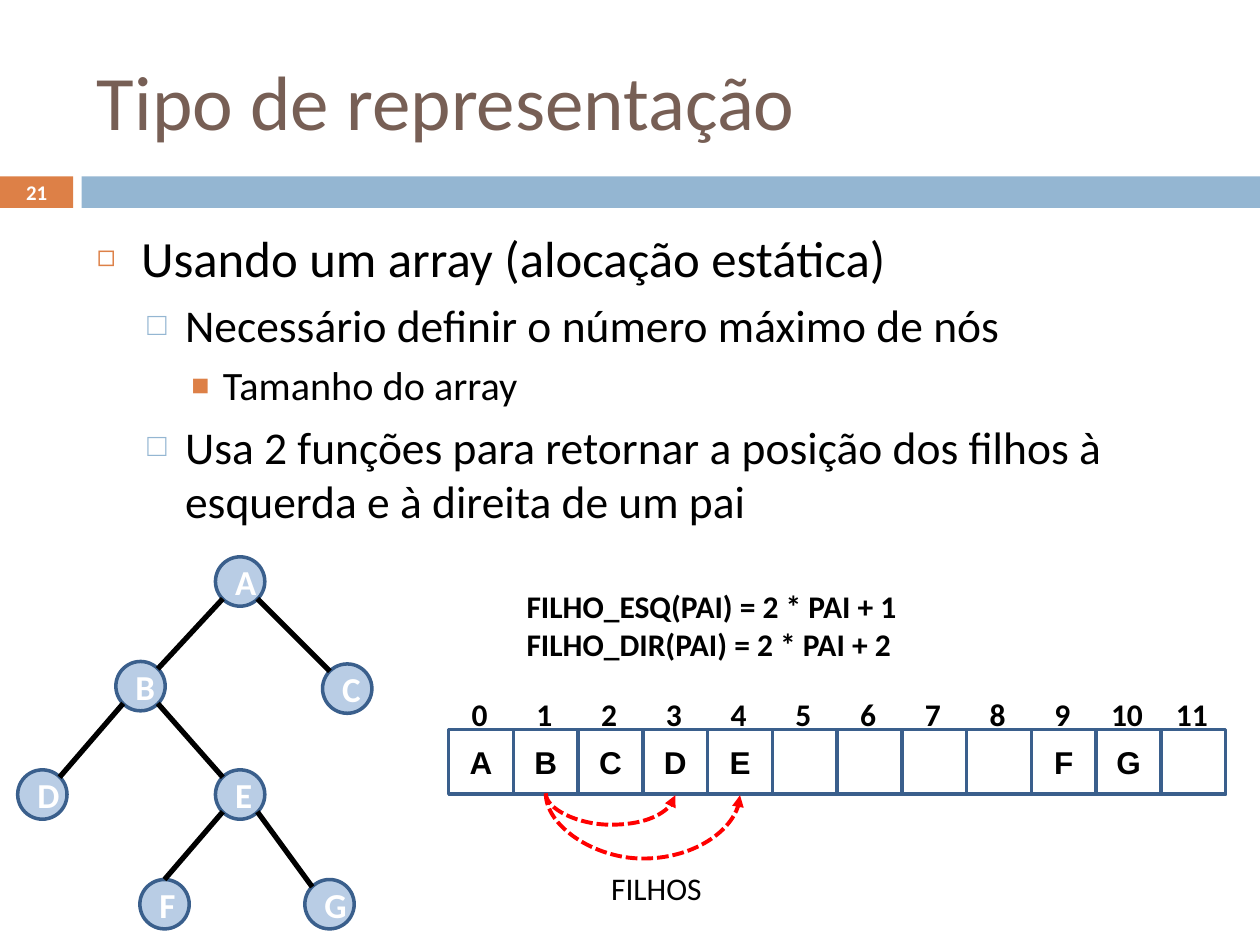
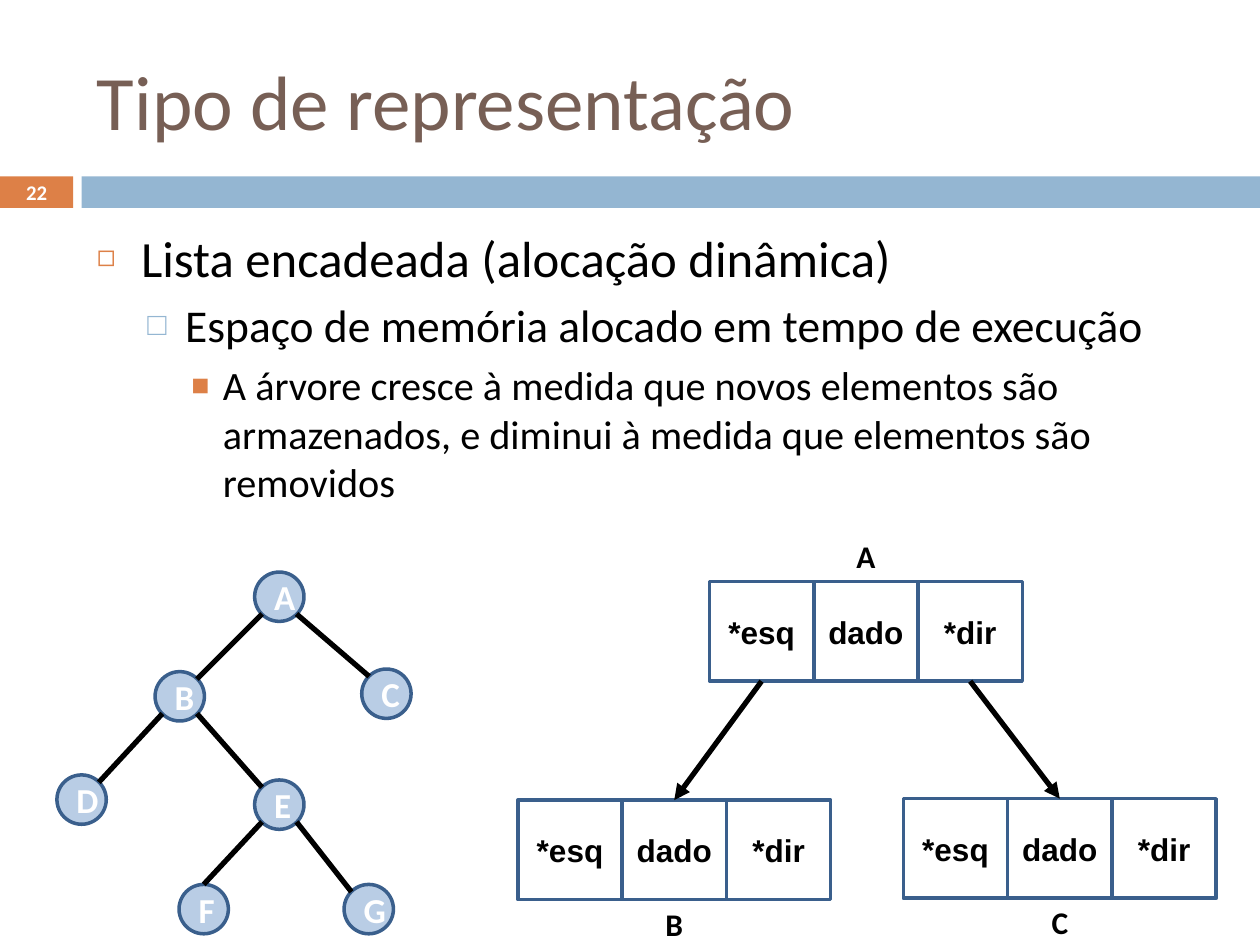
from dataclasses import dataclass

from lxml import etree
from pptx import Presentation
from pptx.dml.color import RGBColor
from pptx.enum import dml, shapes, text
from pptx.oxml import ns
from pptx.util import Pt


@dataclass(frozen=True)
class Theme:
    font: str = "Calibri"
    cell_font: str = "Arial"
    title: str = "775F55"
    ink: str = "000000"
    white: str = "FFFFFF"
    orange: str = "DD8047"
    blue: str = "94B6D2"
    node: str = "B9CDE5"
    outline: str = "3A5F8C"
    red: str = "FF0000"
    title_size: float = 44
    number_size: float = 11.9
    node_size: float = 20
    label_size: float = 18


THEME = Theme()
# size, left margin, hanging indent, space before, bullet, bullet colour, bullet %
LEVELS = [
    (29, 25.2, 25.2, 7, "◻", THEME.orange, 60),
    (26, 50.4, 21.6, 5.5, "□", THEME.blue, 70),
    (23, 72, 18, 5, "■", THEME.orange, 75),
]
CENTER = text.PP_ALIGN.CENTER
LEFT = text.PP_ALIGN.LEFT
MIDDLE = text.MSO_ANCHOR.MIDDLE
RECT = shapes.MSO_SHAPE.RECTANGLE
OVAL = shapes.MSO_SHAPE.OVAL
NODE = 28.2
NODE_X = {"A": 123.1, "B": 66.2, "C": 184.3, "D": 10.1, "E": 123.1, "F": 79.9, "G": 174.2}
# Points on a node as fractions of its size
NEAR, FAR = 0.15, 0.85
TOP, TOP_LEFT, TOP_RIGHT = (0.5, 0), (NEAR, NEAR), (FAR, NEAR)
BOTTOM_LEFT, BOTTOM_RIGHT = (NEAR, FAR), (FAR, FAR)
EDGES = [
    ("A", BOTTOM_LEFT, "B", TOP_RIGHT),
    ("A", BOTTOM_RIGHT, "C", TOP_LEFT),
    ("B", BOTTOM_LEFT, "D", TOP_RIGHT),
    ("B", BOTTOM_RIGHT, "E", TOP_LEFT),
    ("E", BOTTOM_LEFT, "F", TOP),
    ("E", BOTTOM_RIGHT, "G", TOP_LEFT),
]


def rgb(value):
    return RGBColor.from_string(value)


def add_xml(parent, tag, **attrs):
    return etree.SubElement(parent, ns.qn(tag), **attrs)


class Deck:
    def __init__(self, theme):
        self.theme = theme
        self.prs = Presentation()
        self.prs.slide_width, self.prs.slide_height = Pt(720), Pt(540)
        self.layout = self.prs.slide_layouts[1]
        self.s = None
        for idx, box in ((0, (48.2, 18, 642.2, 77.8)), (1, (48.2, 126, 642.2, 354.2))):
            ph = self.layout.placeholders[idx]
            ph.left, ph.top, ph.width, ph.height = map(Pt, box)

    def style(self, p, size, color, bold=False, align=CENTER, font=None):
        p.alignment = align
        p.font.name = font or self.theme.font
        p.font.size = Pt(size)
        p.font.bold = bold
        p.font.color.rgb = rgb(color)

    def slide(self, number, title, items):
        first = self.s is None
        self.s = self.prs.slides.add_slide(self.layout)
        if first:
            self.bands()
        self.s.shapes.title.text = title
        p = self.s.shapes.title.text_frame.paragraphs[0]
        self.style(p, self.theme.title_size, self.theme.title, align=LEFT)
        self.bullets(items)
        self.label(number, 0, 100.1, 41.8, 19.4, size=self.theme.number_size,
                   color=self.theme.white, anchor=MIDDLE)

    def bands(self):
        """Put the two header bands on the layout, behind everything."""
        tree = self.layout.shapes._spTree
        for left, width, color in ((0, 41.8, self.theme.orange), (46.6, 673.4, self.theme.blue)):
            sp = self.shape(RECT, left, 100.8, width, 18, fill=color)
            tree.insert(2, sp._element)

    def bullets(self, items):
        tf = self.s.placeholders[1].text_frame
        for i, (level, words) in enumerate(items):
            size, margin, hang, before, char, color, percent = LEVELS[level]
            p = tf.paragraphs[0] if i == 0 else tf.add_paragraph()
            p.text, p.level = words, level
            p.space_before = Pt(before if i else 0)
            pPr = p._p.get_or_add_pPr()
            pPr.set("marL", str(Pt(margin)))
            pPr.set("indent", str(-Pt(hang)))
            add_xml(add_xml(pPr, "a:buClr"), "a:srgbClr", val=color)
            add_xml(pPr, "a:buSzPct", val=str(percent * 1000))
            add_xml(pPr, "a:buChar", char=char)
            self.style(p, size, self.theme.ink, align=LEFT)

    def shape(self, kind, left, top, width, height, fill=None, line=None):
        sp = self.s.shapes.add_shape(kind, Pt(left), Pt(top), Pt(width), Pt(height))
        sp.shadow.inherit = False
        if fill:
            sp.fill.solid()
            sp.fill.fore_color.rgb = rgb(fill)
        else:
            sp.fill.background()
        if line:
            sp.line.color.rgb = rgb(line)
            sp.line.width = Pt(2)
        else:
            sp.line.fill.background()
        return sp

    def cell(self, words, left, top, width, height):
        sp = self.shape(RECT, left, top, width, height, line=self.theme.outline)
        if words:
            sp.text_frame.text = words
            self.style(sp.text_frame.paragraphs[0], self.theme.label_size, self.theme.ink,
                       bold=True, font=self.theme.cell_font)
        return sp

    def node(self, words, left, top):
        sp = self.shape(OVAL, left, top, NODE, NODE, self.theme.node, self.theme.outline)
        sp.text_frame.text = words
        self.style(sp.text_frame.paragraphs[0], self.theme.node_size, self.theme.white, bold=True)

    def label(self, words, left, top, width, height, size=None, color=None,
              bold=True, align=CENTER, anchor=text.MSO_ANCHOR.TOP):
        sp = self.s.shapes.add_textbox(Pt(left), Pt(top), Pt(width), Pt(height))
        tf = sp.text_frame
        tf.word_wrap = True
        tf.vertical_anchor = anchor
        tf.text = words
        for p in tf.paragraphs:
            self.style(p, size or self.theme.label_size, color or self.theme.ink, bold, align)

    def line(self, x1, y1, x2, y2, kind=shapes.MSO_CONNECTOR.STRAIGHT,
             color=None, width=3, dash=None, arrow=False):
        cx = self.s.shapes.add_connector(kind, Pt(x1), Pt(y1), Pt(x2), Pt(y2))
        cx.line.color.rgb = rgb(color or self.theme.ink)
        cx.line.width = Pt(width)
        if dash:
            cx.line.dash_style = dash
        if arrow:
            add_xml(cx.line._get_or_add_ln(), "a:tailEnd", type="triangle")
        add_xml(cx._element.spPr, "a:effectLst")
        return cx

    def join(self, source, target):
        """Arrow from the bottom of one cell to the top of another."""
        cx = self.line(0, 0, 0, 0, arrow=True)
        cx.begin_connect(source, 2)
        cx.end_connect(target, 0)

    def arc(self, x1, x2, top, depth):
        """Dashed arrow that hangs below the points x1 and x2."""
        mid, half, y = (x1 + x2) / 2, (x2 - x1) / 2, top + 0.5
        cx = self.line(mid - 0.5, y - half, mid + 0.5, y + half, shapes.MSO_CONNECTOR.CURVE,
                       self.theme.red, 2.25, dml.MSO_LINE.SQUARE_DOT, arrow=True)
        spPr = cx._element.spPr
        xfrm = spPr.find(ns.qn("a:xfrm"))
        xfrm.set("rot", str(270 * 60000))
        xfrm.set("flipH", "1")
        guides = spPr.find(ns.qn("a:prstGeom")).find(ns.qn("a:avLst"))
        add_xml(guides, "a:gd", name="adj1", fmla=f"val {int(depth * 100000)}")

    def tree(self, shift, tops):
        at = {name: (x + shift, top) for (name, x), top in zip(NODE_X.items(), tops)}
        for name, place in at.items():
            self.node(name, *place)
        for parent, start, child, end in EDGES:
            ends = [at[name][axis] + NODE * part[axis]
                    for name, part in ((parent, start), (child, end)) for axis in (0, 1)]
            self.line(*ends)

    def array(self, values, left, top, pitch):
        for i, value in enumerate(values):
            x = left + i * pitch
            self.cell(value, x, top, pitch, pitch)
            self.label(str(i), x - 0.9, top - 23.1, pitch, 28.8)

    def record(self, name, left, top, label_gap):
        """Three-field tree record with its name centred on it; returns its cells."""
        width, height = 59.6, 56.9
        cells = [self.cell(field, left + i * width, top, width, height)
                 for i, field in enumerate(("*esq", "dado", "*dir"))]
        self.label(name, left + 1.5 * width - 103.7, top + label_gap, 207.4, 28.8)
        return cells


def array_slide(deck):
    deck.slide("21", "Tipo de representação", [
        (0, "Usando um array (alocação estática)"),
        (1, "Necessário definir o número máximo de nós"),
        (2, "Tamanho do array"),
        (1, "Usa 2 funções para retornar a posição dos filhos à esquerda e à direita de um pai"),
    ])
    deck.tree(0, (318.2, 378, 379.4, 439.9, 439.9, 502.6, 502.6))
    deck.label("FILHO_ESQ(PAI) = 2 * PAI + 1\nFILHO_DIR(PAI) = 2 * PAI + 2",
               293.8, 331.9, 277.2, 51.1, align=LEFT)
    deck.label("FILHOS", 329, 493.2, 92.2, 28.8, bold=False)
    left, top, pitch = 256.4, 416.9, 37
    deck.array([*"ABCDE", "", "", "", "", "F", "G", ""], left, top, pitch)
    parent = left + 1.5 * pitch
    for child, depth in ((3, 18), (4, 37.5)):
        deck.arc(parent, left + (child + 0.5) * pitch, top + pitch - 0.5, depth)


def linked_slide(deck):
    deck.slide("22", "Tipo de representação", [
        (0, "Lista encadeada (alocação dinâmica)"),
        (1, "Espaço de memória alocado em tempo de execução"),
        (2, "A árvore cresce à medida que novos elementos são armazenados, "
            "e diminui à medida que elementos são removidos"),
    ])
    deck.tree(22.4, (326.9, 383.8, 382.3, 442.8, 445.7, 505.4, 505.4))
    a = deck.record("A", 405.4, 332.4, -29.3)
    b = deck.record("B", 295.9, 457.2, 56.2)
    c = deck.record("C", 516.2, 456.4, 56.2)
    deck.join(a[0], b[1])
    deck.join(a[2], c[1])


def main():
    deck = Deck(THEME)
    array_slide(deck)
    linked_slide(deck)
    deck.prs.save("out.pptx")


if __name__ == "__main__":
    main()
